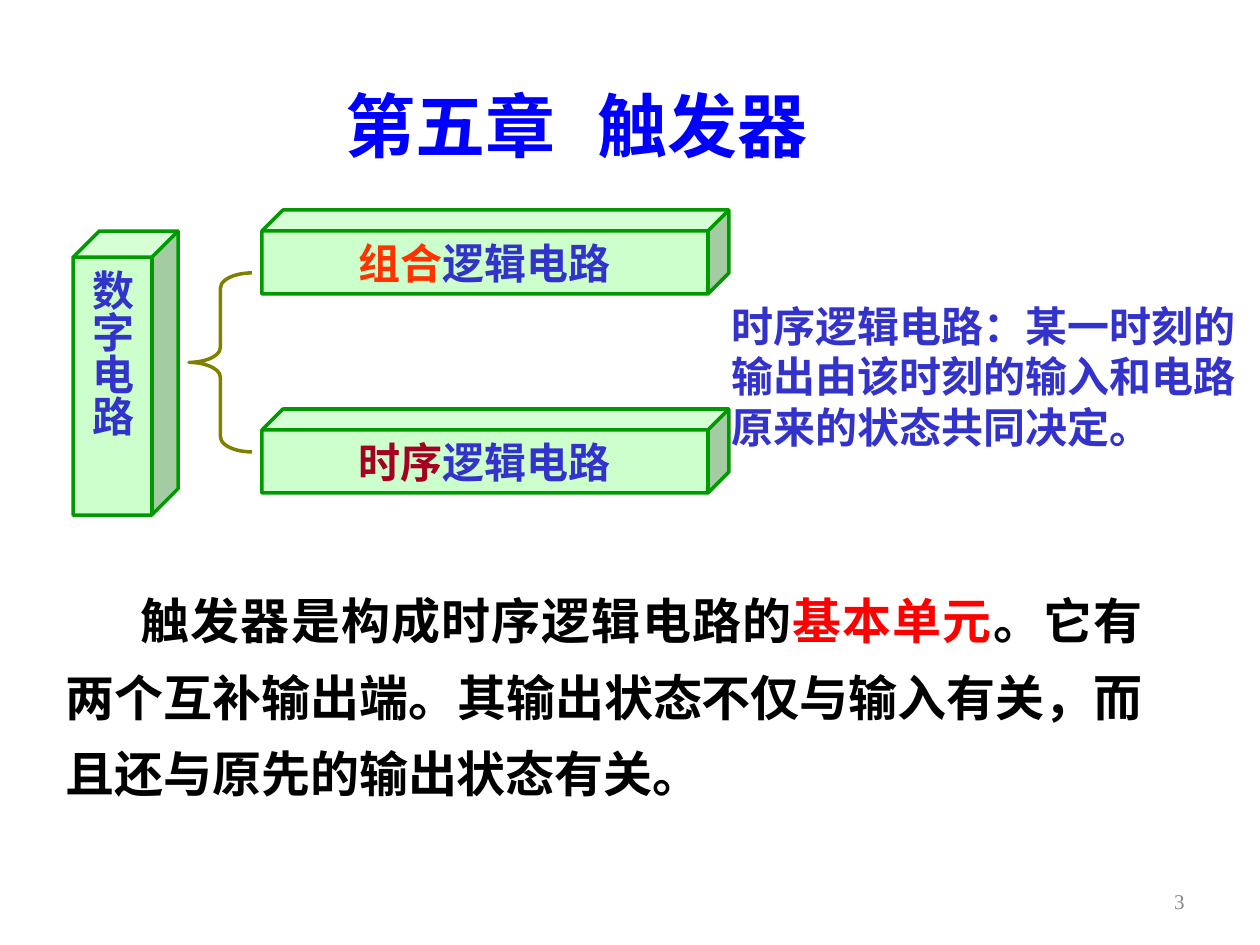
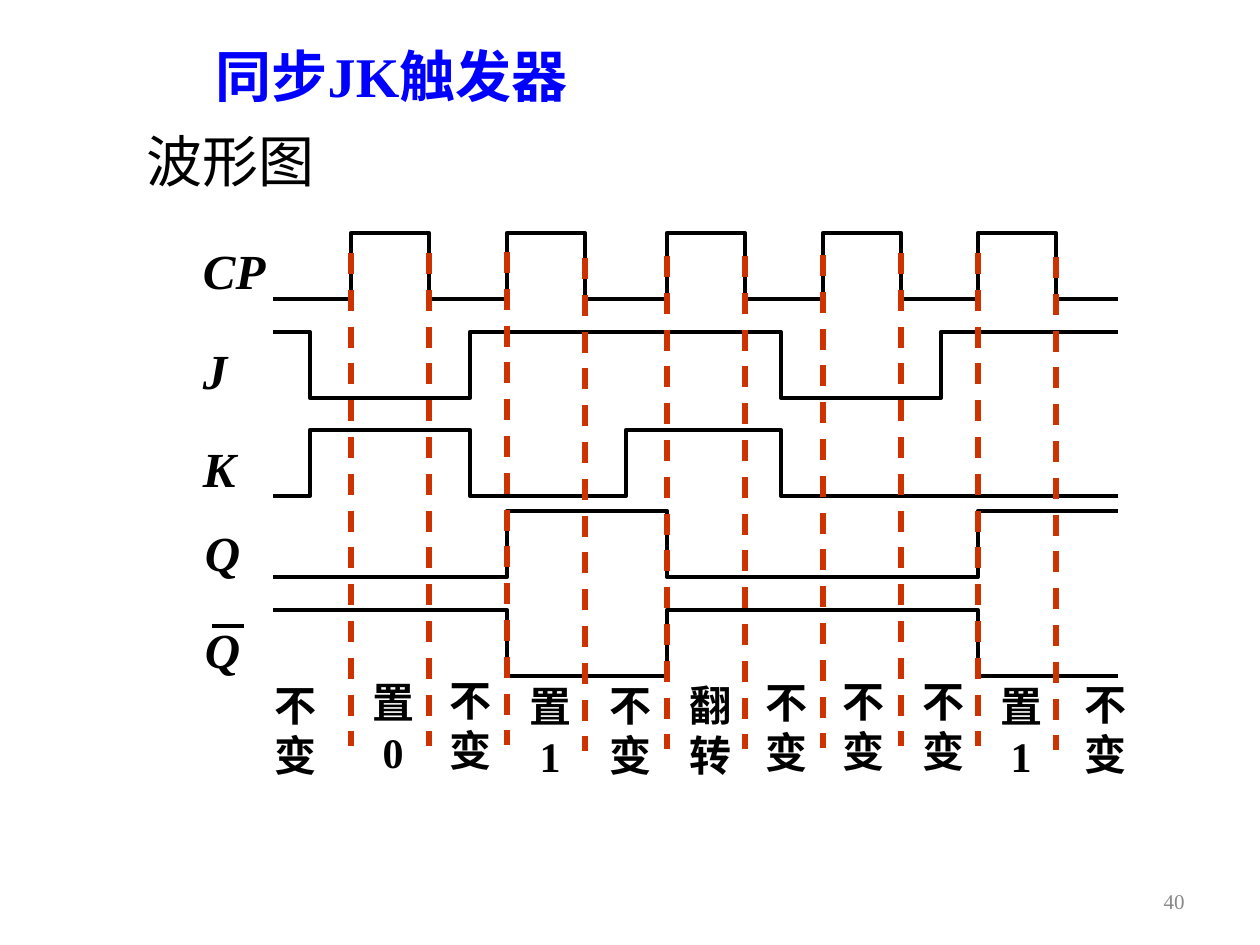
from dataclasses import dataclass

from lxml import etree
from pptx import Presentation
from pptx import util as u
from pptx.dml.color import RGBColor
from pptx.enum import dml, shapes, text
from pptx.oxml import ns

PX = 914400 / 126  # EMU in one px


@dataclass(frozen=True)
class Theme:
    # colours
    title: str = "0000FF"
    ink: str = "000000"
    term: str = "3333CC"
    combined: str = "FF3300"
    sequential: str = "A50021"
    key: str = "FF0000"
    number: str = "898989"
    cube_fill: str = "CCFFCC"
    cube_line: str = "009900"
    brace: str = "808000"
    edge: str = "CC3300"
    # fonts
    serif: str = "Times New Roman"
    sans: str = "Lato"
    cjk: str = "Noto Sans CJK SC"
    # sizes and line widths in points
    chapter: int = 40
    heading: int = 32
    body: int = 28
    label: int = 24
    small: int = 12
    outline: float = 2
    wave: float = 2.38
    dash: float = 3


T = Theme()
TITLE = dict(name=T.serif, bold=True, color=T.title)
STRONG = dict(name=T.serif, bold=True, color=T.ink)
CUBE_TEXT = dict(name=T.sans, size=T.label, bold=True, color=T.term)

# Clock edges, alternately rising and falling
EDGES = [351, 429, 507, 585, 667, 745, 823, 901, 978, 1056]
EDGE_TOPS = [253, 253, 252, 258, 256, 256, 255, 253, 253, 257]
EDGE_LENGTH = 493
WAVE_LEFT, WAVE_RIGHT, WAVE_HEIGHT = 273, 1118, 66
Q_EDGES = [EDGES[2], EDGES[4], EDGES[8]]

# Signal: label, label left, label top, wave top, starts high, edges
SIGNALS = [
    ("CP", 203, 241, 233, False, EDGES),
    ("J", 203, 340, 332, True, [310, 470, 781, 941]),
    ("K", 203, 438, 430, False, [310, 470, 626, 781]),
    ("Q", 205, 522, 511, False, Q_EDGES),
    ("Q", 205, 620, 610, True, Q_EDGES),
]

# State between clock edges: left, top, wording
STATES = [
    (262, 673, "不变"), (360, 670, "置 0"), (437, 668, "不变"),
    (517, 674, "置 1"), (597, 673, "不变"), (677, 673, "翻转"),
    (753, 670, "不变"), (830, 669, "不变"), (910, 669, "不变"),
    (988, 674, "置 1"), (1072, 672, "不变"),
]


def emu(*lengths):
    return [u.Emu(round(v * PX)) for v in lengths]


def rgb(value):
    return RGBColor.from_string(value)


def set_all(target, values):
    for name, value in values.items():
        setattr(target, name, value)


# Text
def write(sp, runs, style, frame=None, para=None, indent=0, tab=None):
    """Put one paragraph of (wording, changes to style) runs into a shape."""
    tf = sp.text_frame
    set_all(tf, dict(auto_size=text.MSO_AUTO_SIZE.NONE, word_wrap=True,
                     vertical_anchor=text.MSO_ANCHOR.TOP) | (frame or {}))
    p = tf.paragraphs[0]
    pPr = p._p.get_or_add_pPr()
    pPr.set("marL", "0")
    pPr.set("indent", str(emu(indent)[0]))
    etree.SubElement(pPr, ns.qn("a:buNone"))
    if tab:
        tabs = etree.SubElement(pPr, ns.qn("a:tabLst"))
        etree.SubElement(tabs, ns.qn("a:tab"), pos=str(emu(tab)[0]), algn="l")
    set_all(p, dict(alignment=text.PP_ALIGN.LEFT, space_before=u.Pt(0)) | (para or {}))
    for wording, changes in runs:
        look = style | changes
        r = p.add_run()
        r.text = wording
        set_all(r.font, dict(name=look["name"], size=u.Pt(look["size"]),
                             bold=look.get("bold", False),
                             italic=look.get("italic", False)))
        r.font.color.rgb = rgb(look["color"])
        etree.SubElement(r._r.get_or_add_rPr(), ns.qn("a:ea"), typeface=T.sans)


def add_text(s, box, wording, style, frame=None, para=None):
    sp = s.shapes.add_textbox(*emu(*box))
    write(sp, [(wording, {})], style, frame, para)


def fill_placeholder(sp, box, runs, style, **layout):
    set_all(sp, dict(zip(("left", "top", "width", "height"), emu(*box))))
    write(sp, runs, style, **layout)


def add_slide(prs, number):
    s = prs.slides.add_slide(prs.slide_layouts[1])
    add_text(s, (903, 876, 294, 50), number,
             dict(name=T.serif, size=T.small, color=T.number),
             dict(vertical_anchor=text.MSO_ANCHOR.MIDDLE),
             dict(alignment=text.PP_ALIGN.RIGHT))
    return s


# Shapes and lines
def set_line(sp, color, width):
    sp.line.color.rgb = rgb(color)
    sp.line.width = u.Pt(width)


def add_cube(s, box, runs, vertical=False):
    sp = s.shapes.add_shape(shapes.MSO_SHAPE.CUBE, *emu(*box))
    sp.shadow.inherit = False
    sp.fill.solid()
    sp.fill.fore_color.rgb = rgb(T.cube_fill)
    set_line(sp, T.cube_line, T.outline)
    frame = dict(word_wrap=False, vertical_anchor=text.MSO_ANCHOR.MIDDLE)
    if vertical:
        side, end = u.Inches(0.05), u.Inches(0.1)
        frame |= dict(margin_left=side, margin_right=side,
                      margin_top=end, margin_bottom=end)
        sp.text_frame._txBody.bodyPr.set("vert", "eaVert")
    write(sp, runs, CUBE_TEXT, frame, dict(alignment=text.PP_ALIGN.CENTER))


def add_brace(s, box):
    sp = s.shapes.add_shape(shapes.MSO_SHAPE.LEFT_BRACE, *emu(*box))
    sp.shadow.inherit = False
    sp.adjustments[0] = 0.24
    sp.fill.background()
    set_line(sp, T.brace, T.outline)


def add_line(s, ends, color, width, dashed=False):
    line = s.shapes.add_connector(shapes.MSO_CONNECTOR.STRAIGHT, *emu(*ends))
    set_line(line, color, width)
    if dashed:
        line.line.dash_style = dml.MSO_LINE.DASH
    etree.SubElement(line._element.spPr, ns.qn("a:effectLst"))


def add_wave(s, top, high, edges):
    """Draw a square wave that changes level at each edge."""
    level = {True: top, False: top + WAVE_HEIGHT}
    points = []
    for x in edges:
        points += [(x, level[high]), (x, level[not high])]
        high = not high
    points.append((WAVE_RIGHT, level[high]))
    start = level[high ^ (len(edges) % 2 == 1)]
    builder = s.shapes.build_freeform(WAVE_LEFT, start, scale=PX)
    builder.add_line_segments(points, close=False)
    sp = builder.convert_to_shape()
    sp.shadow.inherit = False
    sp.fill.background()
    set_line(sp, T.ink, T.wave)


# Slides
def chapter_slide(prs):
    s = add_slide(prs, "3")
    title, body = s.placeholders
    fill_placeholder(title, (333, 76, 630, 97), [("第五章\t触发器", {})],
                     TITLE | dict(size=T.chapter), tab=289)

    # Circuit families
    add_cube(s, (73, 231, 105, 284), [("数字电路", {})], vertical=True)
    add_brace(s, (189, 273, 63, 179))
    families = [(210, "组合", T.combined), (409, "时序", T.sequential)]
    for top, kind, color in families:
        add_cube(s, (262, top, 467, 84), [(kind, dict(color=color)), ("逻辑电路", {})])
    add_text(s, (719, 294, 541, 168),
             "时序逻辑电路：某一时刻的输出由该时刻的输入和电路原来的状态共同决定。",
             STRONG | dict(size=T.label, color=T.term))

    # Definition
    fill_placeholder(body, (53, 567, 1102, 242), [
        ("触发器是构成时序逻辑电路的", {}),
        ("基本单元", dict(color=T.key)),
        ("。它有两个互补输出端。其输出状态不仅与输入有关，而且还与原先的输出状态有关。", {}),
    ], STRONG | dict(size=T.body), indent=75,
        para=dict(alignment=text.PP_ALIGN.JUSTIFY, line_spacing=1.3))


def waveform_slide(prs):
    s = add_slide(prs, "40")
    title, body = s.placeholders
    fill_placeholder(title, (203, 35, 704, 80), [("同步JK触发器", {})],
                     TITLE | dict(size=T.heading))
    fill_placeholder(body, (134, 115, 958, 85), [("波形图", {})],
                     dict(name=T.cjk, size=T.heading, color=T.ink),
                     frame=dict(vertical_anchor=text.MSO_ANCHOR.BOTTOM))

    # Signals
    bare = dict.fromkeys(("margin_left", "margin_top", "margin_right", "margin_bottom"), 0)
    for name, left, label_top, top, high, edges in SIGNALS:
        add_text(s, (left, label_top, 63, 59), name,
                 STRONG | dict(size=T.body, italic=True), bare | dict(word_wrap=False))
        add_wave(s, top, high, edges)
    add_line(s, (212, 626, 244, 626), T.ink, T.wave)

    # Clock edges and the states between them
    for x, top in zip(EDGES, EDGE_TOPS):
        add_line(s, (x, top, x, top + EDGE_LENGTH), T.edge, T.dash, dashed=True)
    for left, top, state in STATES:
        add_text(s, (left, top, 63, 164), state, STRONG | dict(size=T.label))


def main():
    prs = Presentation()
    prs.slide_width, prs.slide_height = emu(1260, 945)
    chapter_slide(prs)
    waveform_slide(prs)
    prs.save("out.pptx")


if __name__ == "__main__":
    main()
